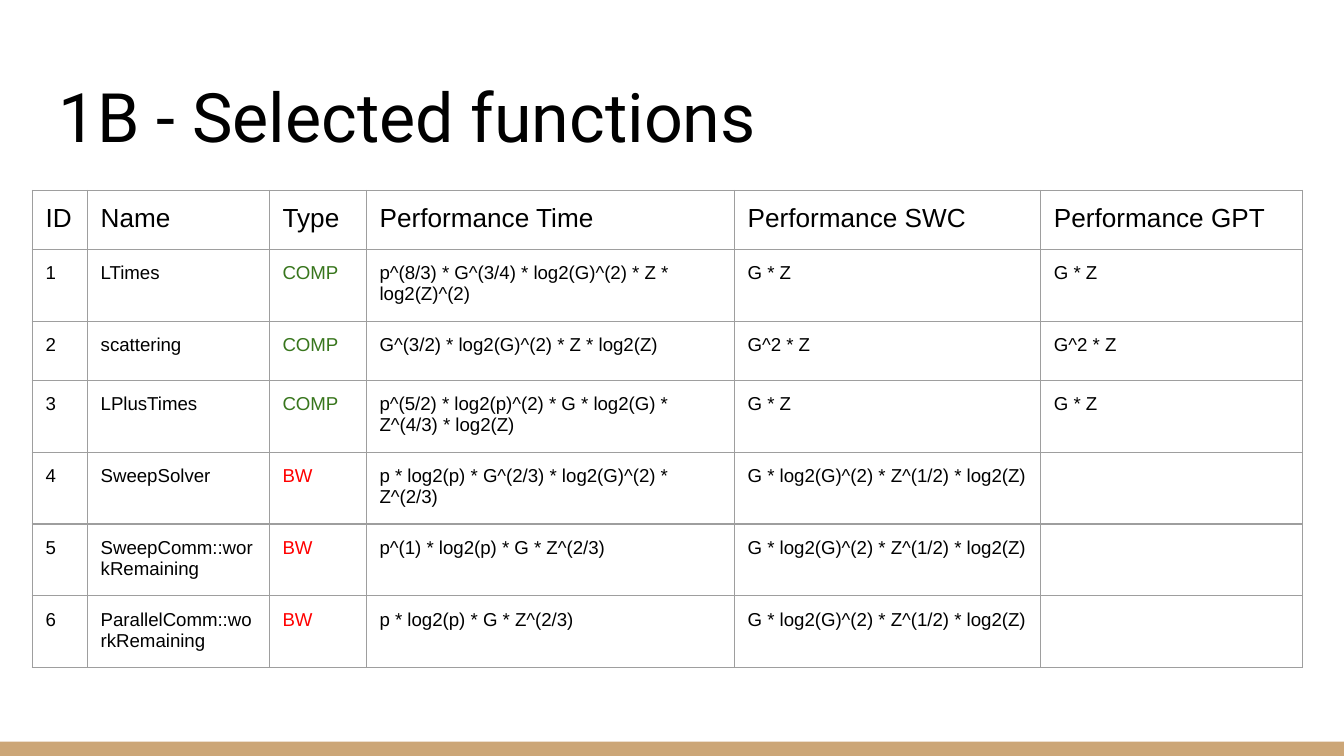
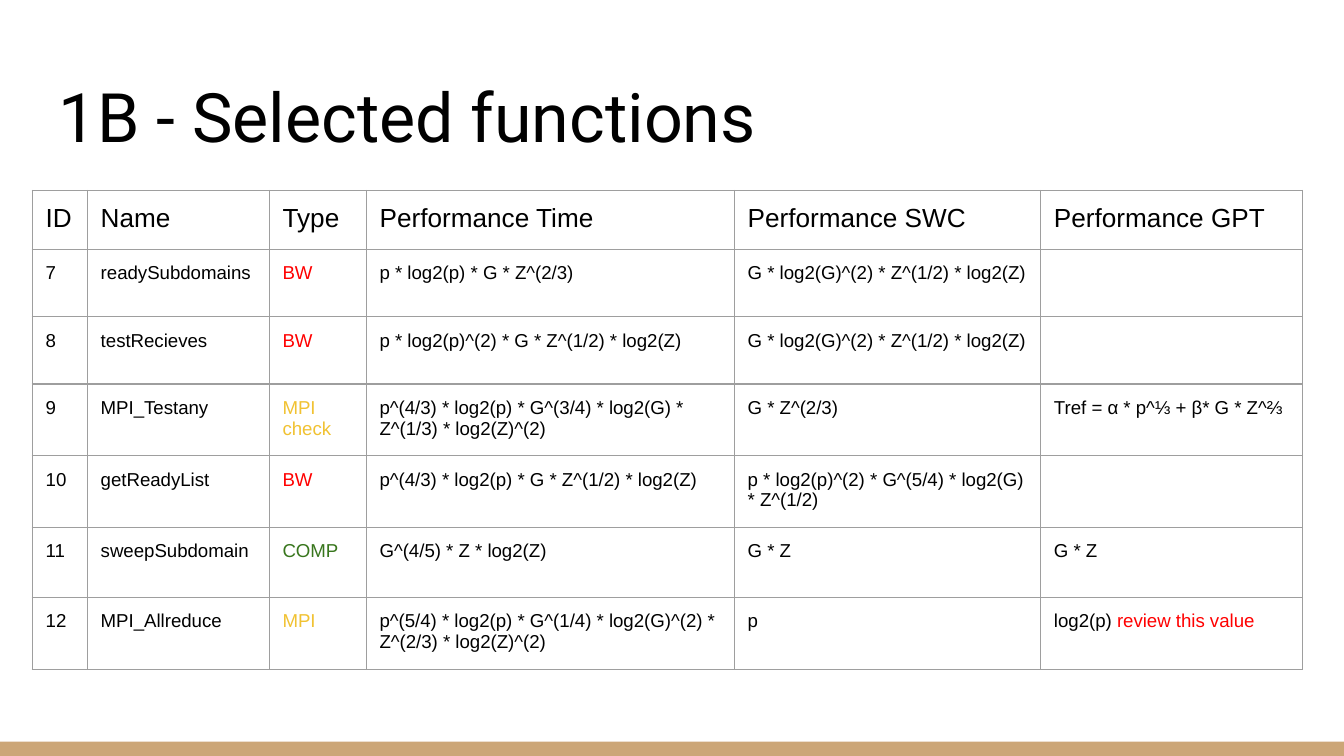
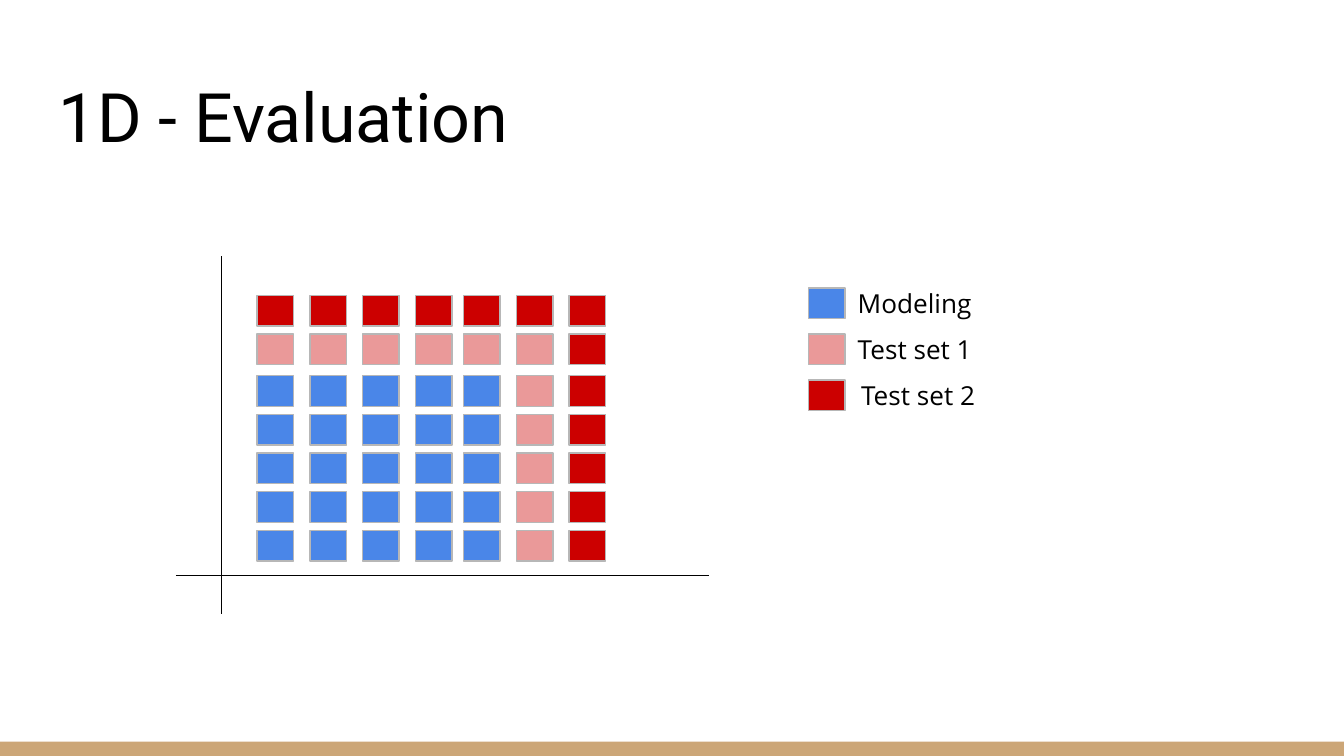
from lxml import etree
from pptx import Presentation, util as u
from pptx.dml.color import RGBColor
from pptx.enum import shapes, text
from pptx.oxml import ns

Pt = u.Pt

# Colours
BLACK = RGBColor(0x00, 0x00, 0x00)
WHITE = RGBColor(0xFF, 0xFF, 0xFF)
TAN = RGBColor(0xCC, 0xA6, 0x77)
BORDER = RGBColor(0x9E, 0x9E, 0x9E)
OUTLINE = RGBColor(0xB7, 0xB7, 0xB7)
GREEN = RGBColor(0x38, 0x76, 0x1D)
RED = RGBColor(0xFF, 0x00, 0x00)
YELLOW = RGBColor(0xF1, 0xC2, 0x32)
BLUE = RGBColor(0x4A, 0x86, 0xE8)
PINK = RGBColor(0xEA, 0x99, 0x99)
DARK_RED = RGBColor(0xCC, 0x00, 0x00)

# Text formats
TITLE = {"name": "Roboto", "size": Pt(36.5)}
HEADER = {"name": "Arial", "size": Pt(14)}
BODY = {"name": "Arial", "size": Pt(10)}
EMPTY = {"name": "Arial", "size": Pt(18)}
LEGEND = {"name": "Open Sans", "size": Pt(14)}
INSETS = {f"margin_{side}": Pt(7.2) for side in ("left", "top", "right", "bottom")}


def write(holder, frame, runs, font_format):
    """Set the insets of a cell or frame and fill it with (words, colour) runs."""
    for key, value in INSETS.items():
        setattr(holder, key, value)
    frame.word_wrap = True
    for words, colour in runs:
        run = frame.paragraphs[0].add_run()
        run.text = words
        for key, value in font_format.items():
            setattr(run.font, key, value)
        run.font.color.rgb = colour


def add_box(slide, left, top, width, height, fill, outline=None):
    box = slide.shapes.add_shape(shapes.MSO_SHAPE.RECTANGLE,
                                 Pt(left), Pt(top), Pt(width), Pt(height))
    box.shadow.inherit = False
    box.fill.solid()
    box.fill.fore_color.rgb = fill
    if outline is None:
        box.line.fill.background()
    else:
        box.line.color.rgb = outline
        box.line.width = Pt(0.75)


prs = Presentation()
prs.slide_width, prs.slide_height = Pt(720), Pt(405)

# Shared background, bottom band and title
slides = []
for heading in ("1B - Selected functions", "1B - Selected functions", "1D - Evaluation"):
    slide = prs.slides.add_slide(prs.slide_layouts[6])
    slide.background.fill.solid()
    slide.background.fill.fore_color.rgb = WHITE
    add_box(slide, 0, 397.3, 720, 7.7, TAN)
    frame = slide.shapes.add_textbox(Pt(24.5), Pt(25.2), Pt(671), Pt(65.5)).text_frame
    frame.vertical_anchor = text.MSO_ANCHOR.BOTTOM
    write(frame, frame, [(heading, BLACK)], TITLE)
    slides.append(slide)

# Slides 1 and 2: function tables
COLUMNS = ("ID", "Name", "Type", "Performance Time", "Performance SWC", "Performance GPT")
COLUMN_WIDTHS = (29.5, 97.4, 52, 197.2, 164.1, 140.4)
ROW_HEIGHTS = (31.7,) * 5 + (37.4,) * 2
TYPE_COLOURS = {"COMP": GREEN, "BW": RED, "MPI": YELLOW, "MPI check": YELLOW}
REVIEW = "review this value"
SWEEP_SWC = "G * log2(G)^(2) * Z^(1/2) * log2(Z)"
FUNCTIONS = (
    (
        ("1", "LTimes", "COMP", "p^(8/3) * G^(3/4) * log2(G)^(2) * Z * log2(Z)^(2)",
         "G * Z", "G * Z"),
        ("2", "scattering", "COMP", "G^(3/2) * log2(G)^(2) * Z * log2(Z)",
         "G^2 * Z", "G^2 * Z"),
        ("3", "LPlusTimes", "COMP",
         "p^(5/2) * log2(p)^(2) * G * log2(G) * Z^(4/3) * log2(Z)", "G * Z", "G * Z"),
        ("4", "SweepSolver", "BW", "p * log2(p) * G^(2/3) * log2(G)^(2) * Z^(2/3)",
         SWEEP_SWC, ""),
        ("5", "SweepComm::workRemaining", "BW", "p^(1) * log2(p) * G * Z^(2/3)",
         SWEEP_SWC, ""),
        ("6", "ParallelComm::workRemaining", "BW", "p * log2(p) * G * Z^(2/3)",
         SWEEP_SWC, ""),
    ),
    (
        ("7", "readySubdomains", "BW", "p * log2(p) * G * Z^(2/3)", SWEEP_SWC, ""),
        ("8", "testRecieves", "BW", "p * log2(p)^(2) * G * Z^(1/2) * log2(Z)",
         SWEEP_SWC, ""),
        ("9", "MPI_Testany", "MPI check",
         "p^(4/3) * log2(p) * G^(3/4) * log2(G) * Z^(1/3) * log2(Z)^(2)",
         "G * Z^(2/3)", "Tref = α * p^⅓ + β* G * Z^⅔"),
        ("10", "getReadyList", "BW", "p^(4/3) * log2(p) * G * Z^(1/2) * log2(Z)",
         "p * log2(p)^(2) * G^(5/4) * log2(G) * Z^(1/2)", ""),
        ("11", "sweepSubdomain", "COMP", "G^(4/5) * Z * log2(Z)", "G * Z", "G * Z"),
        ("12", "MPI_Allreduce", "MPI",
         "p^(5/4) * log2(p) * G^(1/4) * log2(G)^(2) * Z^(2/3) * log2(Z)^(2)",
         "p", "log2(p) " + REVIEW),
    ),
)

for slide, functions in zip(slides, FUNCTIONS):
    table = slide.shapes.add_table(len(ROW_HEIGHTS), len(COLUMNS), Pt(17.3), Pt(102),
                                   Pt(sum(COLUMN_WIDTHS)), Pt(sum(ROW_HEIGHTS))).table
    table.first_row = table.horz_banding = False
    for column, width in zip(table.columns, COLUMN_WIDTHS):
        column.width = Pt(width)
    for row, height in zip(table.rows, ROW_HEIGHTS):
        row.height = Pt(height)

    for r, entries in enumerate((COLUMNS, *functions)):
        for c, entry in enumerate(entries):
            cell = table.cell(r, c)
            runs = [(entry, TYPE_COLOURS.get(entry, BLACK))]
            if entry.endswith(REVIEW):
                runs = [(entry.removesuffix(REVIEW), BLACK), (REVIEW, RED)]
            cell_format = HEADER if r == 0 else BODY if entry else EMPTY
            write(cell, cell.text_frame, runs, cell_format)

            # Borders come before the fill in the cell properties
            properties = cell._tc.get_or_add_tcPr()
            for edge in ("lnL", "lnR", "lnT", "lnB"):
                line = etree.SubElement(properties, ns.qn(f"a:{edge}"), w=str(Pt(0.75)))
                solid = etree.SubElement(line, ns.qn("a:solidFill"))
                etree.SubElement(solid, ns.qn("a:srgbClr"), val=str(BORDER))
            cell.fill.background()

# Slide 3: axes
evaluation = slides[2]
for x1, y1, x2, y2 in ((118.6, 137.3, 118.6, 329), (94.3, 308.2, 379.7, 308.2)):
    axis = evaluation.shapes.add_connector(shapes.MSO_CONNECTOR.STRAIGHT,
                                           Pt(x1), Pt(y1), Pt(x2), Pt(y2))
    axis.line.color.rgb = BLACK
    axis.line.width = Pt(0.75)
    etree.SubElement(axis._element.spPr, ns.qn("a:effectLst"))

# Sample grid: outer ring is test set 2, the next is test set 1
GRID = 7
SAMPLE = (19.6, 16.4)
for r in reversed(range(GRID)):
    for c in range(GRID):
        ring = min(r, GRID - 1 - c)
        colour = (DARK_RED, PINK)[ring] if ring < 2 else BLUE
        left = 137.7 + 28.3 * c - (2.6 if c >= 4 else 0)
        top = 158.3 + 20.7 * r + (1.6 if r >= 2 else 0)
        add_box(evaluation, round(left, 2), round(top, 2), *SAMPLE, colour, OUTLINE)

# Legend
for i, (label, colour, label_left) in enumerate((
        ("Modeling", BLUE, 452.4),
        ("Test set 1", PINK, 452.4),
        ("Test set 2", DARK_RED, 454.2))):
    top = round(154.2 + 24.7 * i, 2)
    add_box(evaluation, 433.1, top, *SAMPLE, colour, OUTLINE)
    frame = evaluation.shapes.add_textbox(Pt(label_left), Pt(top - 7.4),
                                          Pt(165), Pt(31.7)).text_frame
    frame.auto_size = text.MSO_AUTO_SIZE.SHAPE_TO_FIT_TEXT
    write(frame, frame, [(label, BLACK)], LEGEND)

prs.save("out.pptx")
